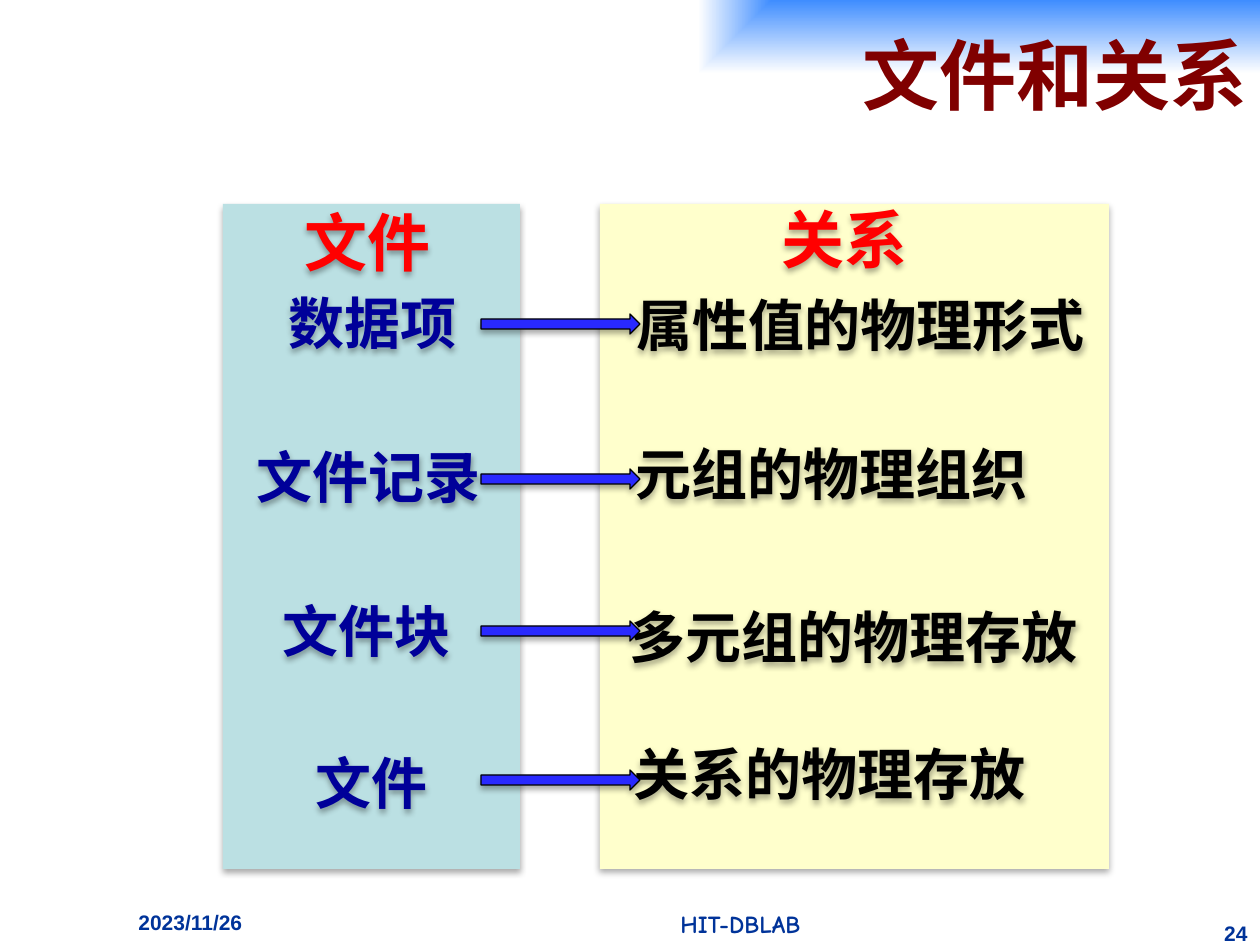
"""Build the slide that maps file terms to relation terms."""
from pptx import Presentation, oxml, util as u
from pptx.dml.color import RGBColor
from pptx.enum import shapes, text
from pptx.oxml import ns

BLUE = RGBColor(0x3F, 0x8D, 0xFF)
WHITE = RGBColor(0xFF, 0xFF, 0xFF)
MAROON = RGBColor(0x80, 0x00, 0x00)
NAVY = RGBColor(0x00, 0x33, 0x99)
INDIGO = RGBColor(0x00, 0x00, 0x99)
RED = RGBColor(0xFF, 0x00, 0x00)
BLACK = RGBColor(0x00, 0x00, 0x00)
TEAL = RGBColor(0xBB, 0xE0, 0xE3)
CREAM = RGBColor(0xFF, 0xFF, 0xCC)
ARROW = RGBColor(0x29, 0x29, 0xFF)

SCALE = 914400 / 126
CJK = "Noto Sans CJK JP"
LEFT, MID, RIGHT = text.PP_ALIGN.LEFT, text.PP_ALIGN.CENTER, text.PP_ALIGN.RIGHT
RECT = shapes.MSO_SHAPE.RECTANGLE


class Deck:
    """Holds the style and the current slide."""

    def __init__(self):
        self.prs = Presentation()
        self.prs.slide_width = u.Inches(10)
        self.prs.slide_height = u.Inches(7.5)
        self.slide = self.prs.slides.add_slide(self.prs.slide_layouts[6])

    def box(self, *px):
        return [round(n * SCALE) for n in px]

    def shade(self, shape):
        shape.shadow.inherit = False
        effects = shape._element.spPr.find(ns.qn("a:effectLst"))
        effects.append(oxml.parse_xml(
            f'<a:outerShdw {ns.nsdecls("a")} blurRad="44450" dist="27940" dir="5400000" '
            f'algn="ctr" rotWithShape="0"><a:srgbClr val="{BLACK}">'
            '<a:alpha val="32000"/></a:srgbClr></a:outerShdw>'))

    def style(self, shape, words, size, color, font, align):
        para = shape.text_frame.paragraphs[0]
        para.text = words
        para.alignment = align
        run = para.runs[0]
        run.font.size = u.Pt(size)
        run.font.bold = True
        run.font.color.rgb = color
        run.font.name = font
        run._r.get_or_add_rPr().append(oxml.parse_xml(
            f'<a:ea {ns.nsdecls("a")} typeface="{font}"/>'))

    def title(self, words, x, y, w, h):
        shape = self.slide.shapes.add_shape(RECT, *self.box(x, y, w, h))
        shape.shadow.inherit = False
        shape.line.fill.background()
        shape.fill.background()
        props = shape._element.spPr
        props.replace(props.find(ns.qn("a:noFill")), oxml.parse_xml(
            f'<a:gradFill {ns.nsdecls("a")} rotWithShape="0"><a:gsLst>'
            f'<a:gs pos="0"><a:srgbClr val="{BLUE}"/></a:gs>'
            f'<a:gs pos="100000"><a:srgbClr val="{WHITE}"/></a:gs></a:gsLst>'
            '<a:path path="rect"><a:fillToRect l="100000" b="100000"/></a:path></a:gradFill>'))
        shape.text_frame.vertical_anchor = text.MSO_ANCHOR.MIDDLE
        self.style(shape, words, 44, MAROON, "Noto Sans CJK SC", RIGHT)

    def note(self, words, x, y, w, h, size=12, font="Arial", align=LEFT):
        shape = self.slide.shapes.add_textbox(*self.box(x, y, w, h))
        shape.text_frame.word_wrap = True
        self.style(shape, words, size, NAVY, font, align)

    def label(self, words, x, y, w, h=81, size=32, color=BLACK, align=MID, wrap=True):
        shape = self.slide.shapes.add_textbox(*self.box(x, y, w, h))
        shape.text_frame.word_wrap = wrap
        shape.text_frame.auto_size = text.MSO_AUTO_SIZE.SHAPE_TO_FIT_TEXT
        self.shade(shape)
        self.style(shape, words, size, color, CJK, align)

    def head(self, words, x, y):
        self.label(words, x, y, 152, 89, 36, RED, LEFT, False)

    def panel(self, x, w, color):
        shape = self.slide.shapes.add_shape(RECT, *self.box(x, 204, w, 665))
        shape.fill.solid()
        shape.fill.fore_color.rgb = color
        shape.line.fill.background()
        self.shade(shape)

    def arrow(self, y):
        kind = shapes.MSO_SHAPE.RIGHT_ARROW
        shape = self.slide.shapes.add_shape(kind, *self.box(481, y, 159, 20))
        shape.fill.solid()
        shape.fill.fore_color.rgb = ARROW
        shape.line.color.rgb = BLACK
        shape.line.width = u.Pt(0.75)
        self.shade(shape)


def main():
    deck = Deck()
    deck.title("文件和关系", 136, 0, 1124, 147)
    deck.note("2023/11/26", 126, 903, 220, 42)
    deck.note("HIT-DBLAB", 441, 903, 599, 42, 14, "Comic Neue", MID)
    deck.note("24", 1207, 914, 53, 32, align=RIGHT)

    deck.panel(223, 297, TEAL)
    for words, x, y, w in (("数据项", 248, 282, 249), ("文件记录", 233, 436, 272),
                           ("文件块", 242, 590, 249), ("文件", 247, 742, 249)):
        deck.label(words, x, y, w, color=INDIGO)
    deck.head("文件", 292, 197)

    deck.panel(600, 509, CREAM)
    for words, x, y in (("属性值的物理形式", 575, 284), ("元组的物理组织", 546, 433),
                        ("多元组的物理存放", 568, 596), ("关系的物理存放", 544, 733)):
        deck.label(words, x, y, 571)
    deck.head("关系", 769, 194)

    for y in (314, 469, 621, 770):
        deck.arrow(y)
    deck.prs.save("out.pptx")


if __name__ == "__main__":
    main()
